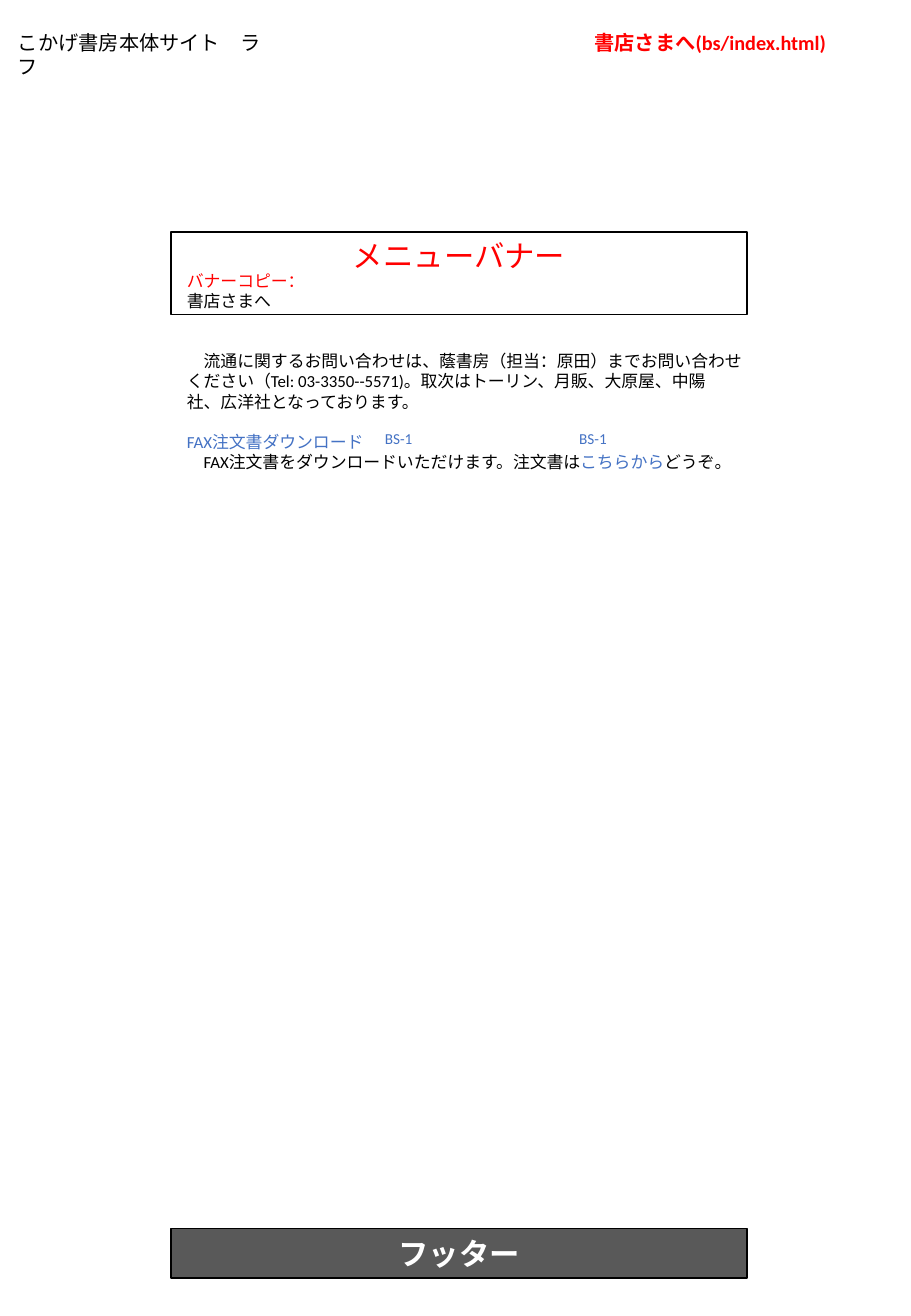
import pptx
import pptx.util
import pptx.dml.color
import pptx.enum.shapes
import pptx.enum.text

PX = 9144
WIDTH, HEIGHT = 750, 1084
FONT = "Calibri"
HUES = {
    "ink": "000000",
    "red": "FF0000",
    "link": "4472C4",
    "paper": "FFFFFF",
    "gray": "595959",
}
ALIGN = pptx.enum.text.PP_ALIGN
LEFT, MID, RIGHT = ALIGN.LEFT, ALIGN.CENTER, ALIGN.RIGHT


def color(name):
    return pptx.dml.color.RGBColor.from_string(HUES[name])


def scale(box):
    return [pptx.util.Emu(n * PX) for n in box]


def write(frame, lines, size, align=LEFT, bold=False):
    for i, parts in enumerate(lines):
        para = frame.paragraphs[0] if i == 0 else frame.add_paragraph()
        para.alignment = align
        for text, hue in parts:
            run = para.add_run()
            run.text = text
            run.font.name = FONT
            run.font.size = pptx.util.Pt(size)
            run.font.bold = bold
            run.font.color.rgb = color(hue)


def label(slide, box, lines, size, align=LEFT, bold=False, wrap=True):
    frame = slide.shapes.add_textbox(*scale(box)).text_frame
    frame.word_wrap = wrap
    frame.auto_size = pptx.enum.text.MSO_AUTO_SIZE.SHAPE_TO_FIT_TEXT
    write(frame, lines, size, align, bold)
    return frame


def panel(slide, box, fill, text, hue, bold=False):
    kind = pptx.enum.shapes.MSO_SHAPE.RECTANGLE
    shape = slide.shapes.add_shape(kind, *scale(box))
    shape.shadow.inherit = False
    shape.fill.solid()
    shape.fill.fore_color.rgb = color(fill)
    shape.line.color.rgb = color("ink")
    shape.line.width = pptx.util.Pt(1)
    frame = shape.text_frame
    frame.vertical_anchor = pptx.enum.text.MSO_ANCHOR.MIDDLE
    write(frame, [[(text, hue)]], 18, MID, bold)
    return frame


def header(slide, box):
    x, y, w, h = box
    label(slide, (x, y, 236, h), [[("こかげ書房本体サイト　ラフ", "ink")]],
          12, wrap=False)
    label(slide, (x + w - 215, y, 215, h),
          [[("書店さまへ(bs/index.html)", "red")]], 12, RIGHT, True, False)


def banner(slide, box):
    x, y, w, h = box
    frame = panel(slide, box, "paper", "メニューバナー", "red")
    frame.vertical_anchor = pptx.enum.text.MSO_ANCHOR.TOP
    frame.margin_top = pptx.util.Emu(4 * PX)
    label(slide, (x + 3, y + 27, 130, 44),
          [[("バナーコピー：", "red")], [("書店さまへ", "ink")]], 10)


def body(slide, box):
    x, y, w, h = box
    frame = label(slide, box, [
        [("　流通に関するお問い合わせは、蔭書房（担当：原田）までお問い合わせ"
          "ください（Tel: 03-3350--5571)。取次はトーリン、月販、大原屋、中陽", "ink")],
        [("社、広洋社となっております。", "ink")],
        [("FAX注文書ダウンロード", "link")],
        [("　FAX注文書をダウンロードいただけます。注文書は", "ink"),
         ("こちらから", "link"), ("どうぞ。", "ink")],
    ], 10)
    frame.paragraphs[2].space_before = pptx.util.Pt(12)
    for left in (163, 323):
        label(slide, (x + left, y + 65, 47, 25), [[("BS-1", "link")]], 9)


def footer(slide, box):
    panel(slide, box, "gray", "フッター", "paper", True)


def main():
    deck = pptx.Presentation()
    deck.slide_width, deck.slide_height = scale((WIDTH, HEIGHT))
    slide = deck.slides.add_slide(deck.slide_layouts[6])
    header(slide, (5, 20, 685, 30))
    banner(slide, (141, 191, 474, 68))
    body(slide, (144, 284, 481, 110))
    footer(slide, (141, 1012, 474, 41))
    deck.save("out.pptx")


if __name__ == "__main__":
    main()
